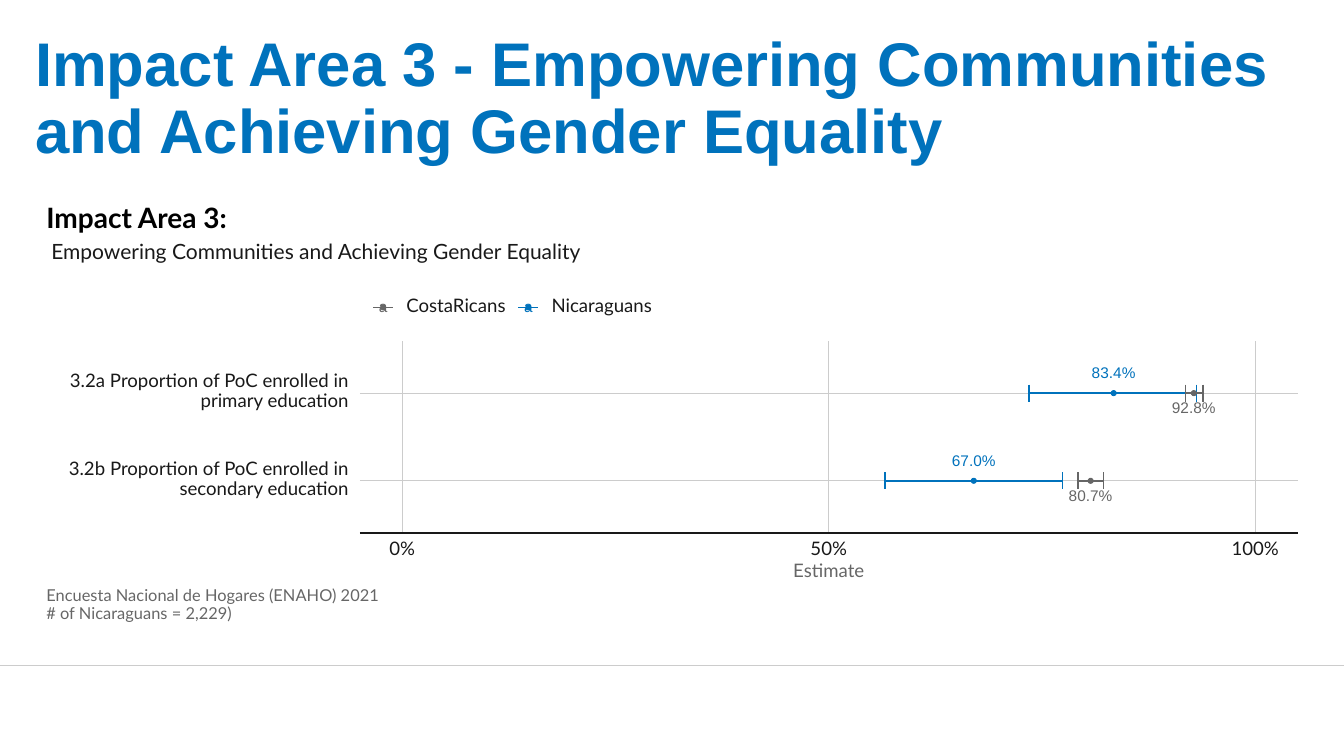
from lxml import etree
from pptx import Presentation
from pptx.dml.color import RGBColor
from pptx.enum.shapes import MSO_CONNECTOR, MSO_SHAPE
from pptx.enum.text import MSO_ANCHOR, PP_ALIGN
from pptx.oxml.ns import qn
from pptx.util import Inches, Pt

LEFT, CENTER, RIGHT = PP_ALIGN.LEFT, PP_ALIGN.CENTER, PP_ALIGN.RIGHT
MIDDLE, BOTTOM = MSO_ANCHOR.MIDDLE, MSO_ANCHOR.BOTTOM
STRAIGHT, OVAL = MSO_CONNECTOR.STRAIGHT, MSO_SHAPE.OVAL

BLUE, GRAY, INK, BLACK, GRID = "0072BC", "666666", "191919", "000000", "CCCCCC"
BODY_SIZE, VALUE_SIZE, NOTE_SIZE = 13.3, 11, 11.7

PLOT_LEFT, PLOT_RIGHT, PLOT_TOP, PLOT_BOTTOM = 3.57, 12.87, 3.38, 5.29
ZERO_X, FULL_WIDTH = 3.99, 8.46
FIRST_ROW_Y, ROW_GAP = 3.9, 0.87
CAP_HEIGHT, DOT_SIZE = 0.17, 0.05
TEXT_LEFT = 0.46

INDICATORS = [
    ["3.2a Proportion of PoC enrolled in", "primary education"],
    ["3.2b Proportion of PoC enrolled in", "secondary education"],
]
# Each group: name, colour, label offset, legend x, (low, estimate, high) per indicator
GROUPS = [
    ("Nicaraguans", BLUE, -0.19, 5.24, [(73.5, 83.4, 93.1), (56.6, 67.0, 77.4)]),
    ("CostaRicans", GRAY, 0.16, 3.8, [(91.8, 92.8, 93.9), (79.2, 80.7, 82.2)]),
]


def color(hex_code):
    """Turn a hex string into a colour."""
    return RGBColor.from_string(hex_code)


def percent_x(percent):
    """Place a percentage on the horizontal scale."""
    return ZERO_X + FULL_WIDTH * percent / 100


def row_y(row):
    """Give the height of an indicator row."""
    return FIRST_ROW_Y + ROW_GAP * row


class SlideBuilder:
    """Holds the text style and the current slide."""

    def __init__(self, slide, font="Lato", size=BODY_SIZE, ink=INK):
        """Keep the slide and its default text format."""
        self.shapes = slide.shapes
        self.font, self.size, self.ink = font, size, ink

    def text(self, lines, left, middle, width, height=0.4, align=LEFT, anchor=MIDDLE,
             font=None, size=None, ink=None, bold=False, spacing=None, inset=0):
        """Write lines in a box centred on the height given by middle."""
        size = size or self.size
        box = self.shapes.add_textbox(Inches(left), Inches(middle - height / 2),
                                      Inches(width), Inches(height))
        frame = box.text_frame
        frame.word_wrap = True
        frame.vertical_anchor = anchor
        frame.margin_left = frame.margin_right = Inches(inset)
        frame.margin_top = frame.margin_bottom = Inches(inset / 2)
        for index, line in enumerate(lines):
            para = frame.add_paragraph() if index else frame.paragraphs[0]
            para.alignment = align
            para.line_spacing = spacing or Pt(size)
            span = para.add_run()
            span.text = line
            span.font.name = font or self.font
            span.font.size = Pt(size)
            span.font.bold = bold
            span.font.color.rgb = color(ink or self.ink)

    def centered(self, words, x, y, **text_format):
        """Write one line centred on a point."""
        self.text([words], x - 0.5, y, 1, 0.2, align=CENTER, **text_format)

    def line(self, x1, y1, x2, y2, ink, weight):
        """Draw a straight line without a shadow."""
        line = self.shapes.add_connector(STRAIGHT, Inches(x1), Inches(y1),
                                         Inches(x2), Inches(y2))
        line.line.color.rgb = color(ink)
        line.line.width = Pt(weight)
        etree.SubElement(line._element.spPr, qn("a:effectLst"))

    def dot(self, x, y, ink):
        """Draw an estimate marker."""
        dot = self.shapes.add_shape(OVAL, Inches(x - DOT_SIZE / 2), Inches(y - DOT_SIZE / 2),
                                    Inches(DOT_SIZE), Inches(DOT_SIZE))
        dot.shadow.inherit = False
        dot.fill.solid()
        dot.fill.fore_color.rgb = color(ink)
        dot.line.color.rgb = color(ink)
        dot.line.width = Pt(0.71)

    def interval(self, low, high, y, ink):
        """Draw a confidence interval with a cap at each end."""
        self.line(percent_x(low), y, percent_x(high), y, ink, 1.07)
        for end in (low, high):
            x = percent_x(end)
            self.line(x, y - CAP_HEIGHT / 2, x, y + CAP_HEIGHT / 2, ink, 1.07)

    def legend_entry(self, name, x, ink):
        """Draw a legend key and its label."""
        y = 3.05
        self.dot(x, y, ink)
        self.line(x - 0.1, y, x + 0.1, y, ink, 1.07)
        self.centered("a", x, y + 0.01, font="Arial", size=VALUE_SIZE, ink=ink)
        self.text([name], x + 0.23, y - 0.01, 1.15, 0.2)


def draw_axes(page):
    """Draw the grid, the axis and their labels."""
    for row, label in enumerate(INDICATORS):
        y = row_y(row)
        page.line(PLOT_LEFT, y, PLOT_RIGHT, y, GRID, 0.53)
        page.text(label, TEXT_LEFT, y - 0.02, 3.0, align=RIGHT, spacing=Pt(14.4))
    for percent in (0, 50, 100):
        x = percent_x(percent)
        page.line(x, PLOT_BOTTOM, x, PLOT_TOP, GRID, 0.53)
        page.centered(f"{percent}%", x, PLOT_BOTTOM + 0.17)
    page.line(PLOT_LEFT, PLOT_BOTTOM, PLOT_RIGHT, PLOT_BOTTOM, INK, 1.07)
    page.centered("Estimate", percent_x(50), PLOT_BOTTOM + 0.38, ink=GRAY)


def draw_group(page, name, ink, label_offset, legend_x, intervals):
    """Draw the intervals, values and legend entry of one group."""
    for row, (low, estimate, high) in enumerate(intervals):
        x, y = percent_x(estimate), row_y(row)
        page.dot(x, y, ink)
        page.interval(low, high, y, ink)
        page.centered(f"{estimate:.1f}%", x, y + label_offset,
                      font="Arial", size=VALUE_SIZE, ink=ink)
    page.legend_entry(name, legend_x, ink)


def main():
    """Build and save the deck."""
    deck = Presentation()
    deck.slide_width, deck.slide_height = Inches(13.33), Inches(7.5)
    page = SlideBuilder(deck.slides.add_slide(deck.slide_layouts[6]))
    page.line(0, 6.6, 13.33, 6.6, GRID, 0.75)
    page.text(["Impact Area 3 - Empowering Communities and Achieving Gender Equality"],
              0.25, 0.975, 12.83, 1.45, anchor=BOTTOM, font="Arial", size=44,
              ink=BLUE, bold=True, spacing=0.9, inset=0.1)
    page.text(["Impact Area 3:"], TEXT_LEFT, 2.18, 4, size=20, ink=BLACK, bold=True)
    page.text(["Empowering Communities and Achieving Gender Equality"],
              TEXT_LEFT + 0.05, 2.51, 6, 0.2, size=15)
    draw_axes(page)
    for group in GROUPS:
        draw_group(page, *group)
    page.text(["Encuesta Nacional de Hogares (ENAHO) 2021", "# of Nicaraguans = 2,229)"],
              TEXT_LEFT, 6, 4, size=NOTE_SIZE, ink=GRAY, spacing=Pt(13))
    deck.save("out.pptx")


main()
